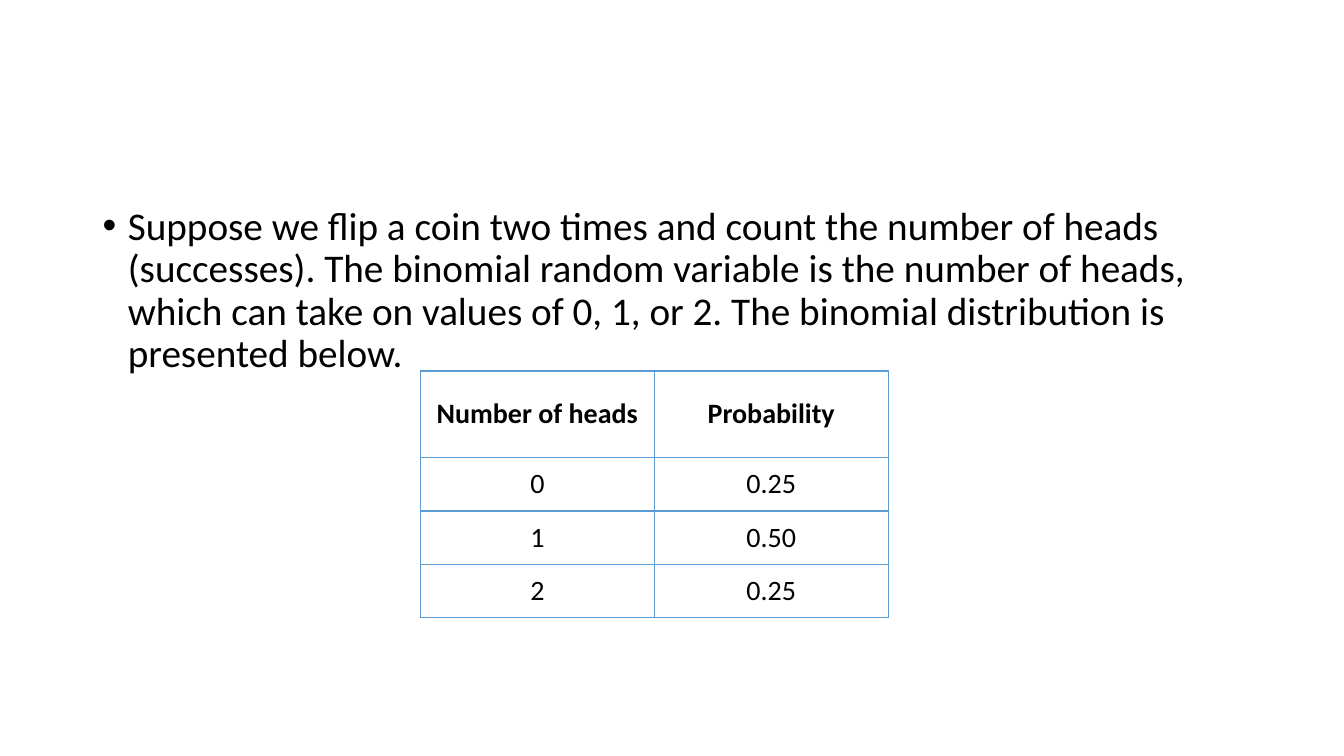
import dataclasses

import lxml.etree
import pptx
import pptx.dml.color
import pptx.enum.text
import pptx.oxml.ns
import pptx.util

PX = 9144  # EMU per px, 100 px to the inch


@dataclasses.dataclass(frozen=True)
class Theme:
    font: str = "Calibri"
    text: str = "000000"
    border: str = "5B9BD5"
    body_pt: int = 28
    table_pt: int = 20
    border_pt: int = 1


THEME = Theme()

INTRO = (
    "Suppose we flip a coin two times and count the number of heads (successes). "
    "The binomial random variable is the number of heads, which can take on values "
    "of 0, 1, or 2. The binomial distribution is presented below."
)
DISTRIBUTION = [
    ("Number of heads", "Probability"),
    ("0", "0.25"),
    ("1", "0.50"),
    ("2", "0.25"),
]


def px(n):
    return pptx.util.Emu(n * PX)


def add_run(p, text, size, bold=False):
    r = p.add_run()
    r.text = text
    r.font.name = THEME.font
    r.font.size = pptx.util.Pt(size)
    r.font.bold = bold
    r.font.color.rgb = pptx.dml.color.RGBColor.from_string(THEME.text)


def add_child(parent, tag, **attrs):
    return lxml.etree.SubElement(parent, pptx.oxml.ns.qn(tag), attrs)


def set_bullet(p, indent):
    """Give the paragraph a round bullet that hangs by indent px."""
    pPr = p._p.get_or_add_pPr()
    pPr.set("marL", str(px(indent)))
    pPr.set("indent", str(px(-indent)))
    add_child(pPr, "a:buFont", typeface="Arial")
    add_child(pPr, "a:buChar", char="•")


def add_bullet_text(s, text, left, top, width, height):
    tf = s.shapes.add_textbox(px(left), px(top), px(width), px(height)).text_frame
    tf.word_wrap = True
    p = tf.paragraphs[0]
    p.line_spacing = 0.9
    p.space_before = pptx.util.Pt(10)
    set_bullet(p, 25)
    add_run(p, text, THEME.body_pt)


def set_borders(cell):
    tcPr = cell._tc.get_or_add_tcPr()
    for side in ("a:lnL", "a:lnR", "a:lnT", "a:lnB"):
        ln = add_child(tcPr, side, w=str(pptx.util.Pt(THEME.border_pt)))
        add_child(add_child(ln, "a:solidFill"), "a:srgbClr", val=THEME.border)


def fill_cell(cell, text, bold):
    set_borders(cell)
    cell.fill.background()
    cell.vertical_anchor = pptx.enum.text.MSO_ANCHOR.MIDDLE
    p = cell.text_frame.paragraphs[0]
    p.alignment = pptx.enum.text.PP_ALIGN.CENTER
    add_run(p, text, THEME.table_pt, bold)


def add_grid(s, rows, left, top, col_width, header_height, row_height):
    """Add a bordered table whose first row is a bold header."""
    n_cols = len(rows[0])
    heights = [header_height] + [row_height] * (len(rows) - 1)
    table = s.shapes.add_table(
        len(rows), n_cols, px(left), px(top), px(col_width * n_cols), px(sum(heights))
    ).table
    table.horz_banding = False
    for col in table.columns:
        col.width = px(col_width)
    for i, (values, height) in enumerate(zip(rows, heights)):
        table.rows[i].height = px(height)
        for j, value in enumerate(values):
            fill_cell(table.cell(i, j), value, bold=i == 0)


def main():
    prs = pptx.Presentation()
    prs.slide_width, prs.slide_height = px(1333), px(750)
    s = prs.slides.add_slide(prs.slide_layouts[6])
    add_bullet_text(s, INTRO, 92, 200, 1150, 476)
    add_grid(s, DISTRIBUTION, 417, 368, col_width=232, header_height=86, row_height=53)
    prs.save("out.pptx")


if __name__ == "__main__":
    main()
